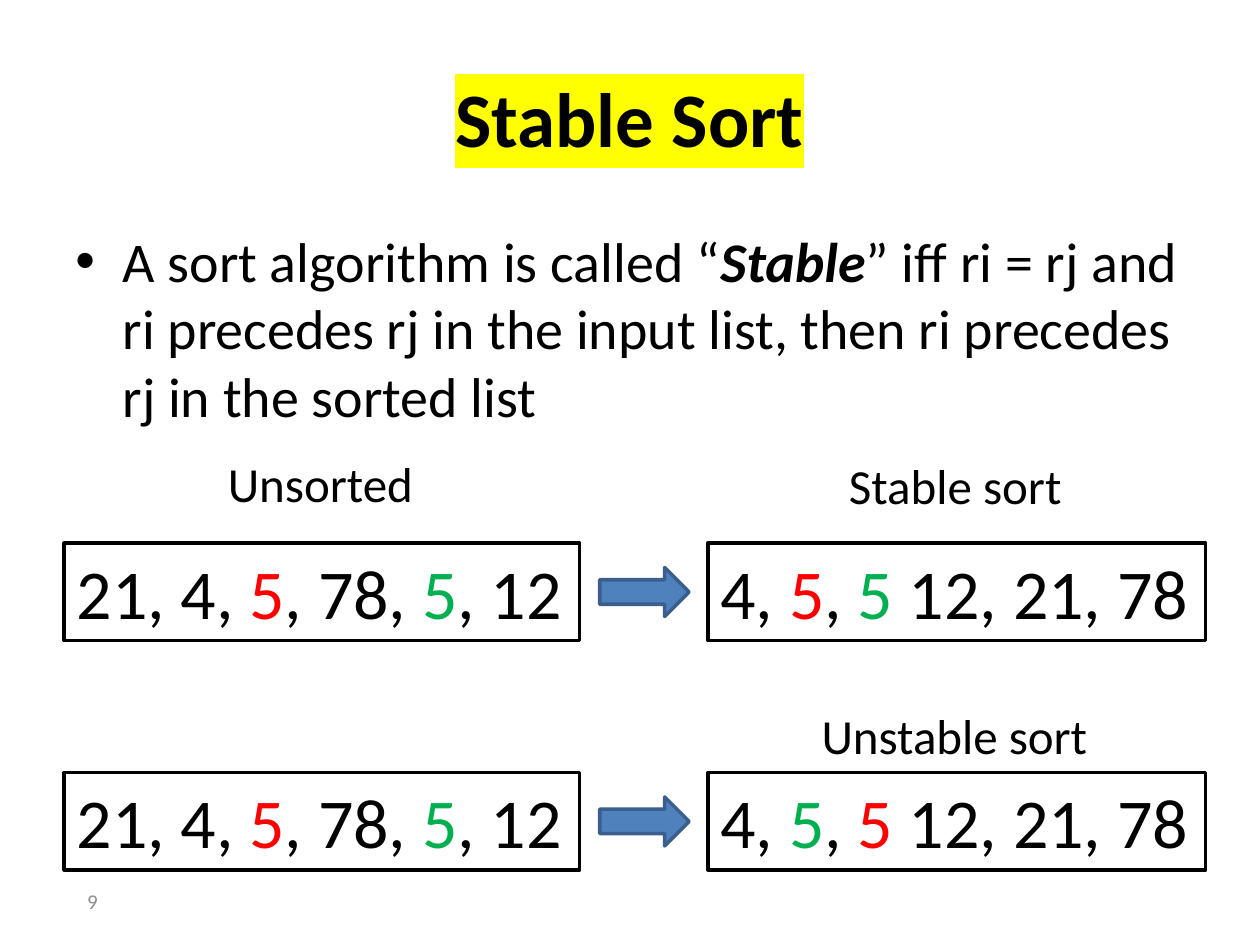
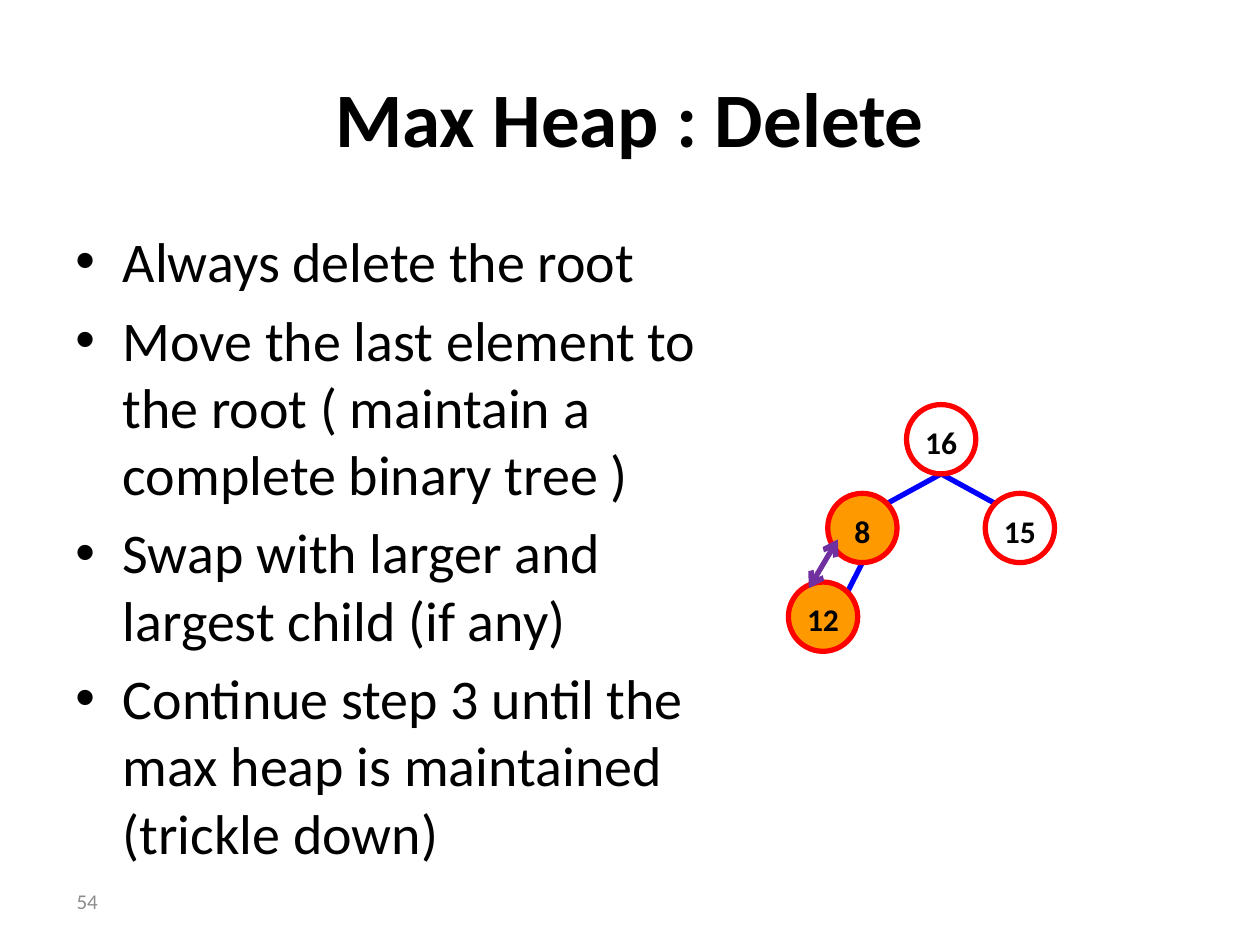
from lxml.etree import SubElement
from pptx import Presentation
from pptx.dml.color import RGBColor
from pptx.enum.shapes import MSO_CONNECTOR, MSO_SHAPE
from pptx.enum.text import MSO_ANCHOR, MSO_AUTO_SIZE, PP_ALIGN
from pptx.oxml.ns import qn
from pptx.util import Pt

BLACK = RGBColor(0x00, 0x00, 0x00)
WHITE = RGBColor(0xFF, 0xFF, 0xFF)
GRAY = RGBColor(0x8C, 0x8C, 0x8C)
RED = RGBColor(0xFF, 0x00, 0x00)
GREEN = RGBColor(0x00, 0xB0, 0x50)
ARROW_FILL = RGBColor(0x4F, 0x81, 0xBD)
ARROW_LINE = RGBColor(0x3A, 0x5F, 0x8C)
ORANGE = RGBColor(0xFF, 0x99, 0x00)
BLUE = RGBColor(0x00, 0x00, 0xFF)
PURPLE = RGBColor(0x70, 0x30, 0xA0)
FONT = "Calibri"


def add_text(s, box, paragraphs, size, color=BLACK, bold=False, align=PP_ALIGN.LEFT,
             anchor=MSO_ANCHOR.TOP, wrap=True, bullet=False):
    """Each paragraph is a list of (text, font overrides) runs."""
    sp = s.shapes.add_textbox(*map(Pt, box))
    tf = sp.text_frame
    tf.word_wrap = wrap
    tf.auto_size = MSO_AUTO_SIZE.NONE if wrap else MSO_AUTO_SIZE.SHAPE_TO_FIT_TEXT
    tf.vertical_anchor = anchor
    for i, runs in enumerate(paragraphs):
        p = tf.add_paragraph() if i else tf.paragraphs[0]
        p.alignment = align
        if bullet:
            pPr = p._p.get_or_add_pPr()
            pPr.set("marL", str(Pt(27)))
            pPr.set("indent", str(-Pt(27)))
            SubElement(pPr, qn("a:buFont"), typeface="Arial")
            SubElement(pPr, qn("a:buChar"), char="•")
            if i:
                p.space_before = Pt(6.4)
        for text, overrides in runs:
            r = p.add_run()
            r.text = text
            fmt = {"name": FONT, "size": Pt(size), "bold": bold, "color": color} | overrides
            r.font.color.rgb = fmt.pop("color")
            for name, value in fmt.items():
                setattr(r.font, name, value)
    return sp


def add_line(s, start, end, color):
    c = s.shapes.add_connector(MSO_CONNECTOR.STRAIGHT, *map(Pt, start + end))
    c.line.color.rgb = color
    c.line.width = Pt(3)
    SubElement(c._element.spPr, qn("a:effectLst"))
    return c


prs = Presentation()
prs.slide_width, prs.slide_height = Pt(720), Pt(540)

# Title, bullets and page number of each slide
pages = [
    ("Stable Sort", "9", 648, [
        [("A sort algorithm is called “", {}),
         ("Stable", {"bold": True, "italic": True}),
         ("” iff ri = rj and ri precedes rj in the input list, "
          "then ri precedes rj in the sorted list", {})],
    ]),
    ("Max Heap : Delete", "54", 397.5, [
        [("Always delete the root", {})],
        [("Move the last element to the root ( maintain a complete binary tree )", {})],
        [("Swap with larger and largest child (if any)", {})],
        [("Continue step 3 until the max heap is maintained (trickle down)", {})],
    ]),
]
slides, titles = [], []
for title, number, body_width, bullets in pages:
    s = prs.slides.add_slide(prs.slide_layouts[6])
    slides.append(s)
    titles.append(add_text(s, (36, 21.6, 648, 90), [[(title, {})]], 44, bold=True,
                           align=PP_ALIGN.CENTER, anchor=MSO_ANCHOR.MIDDLE))
    add_text(s, (36, 126, body_width, 356.4), bullets, 32, bullet=True)
    add_text(s, (0, 500.5, 63, 28.8), [[(number, {})]], 12, GRAY,
             align=PP_ALIGN.RIGHT, anchor=MSO_ANCHOR.MIDDLE)

# Yellow marker behind the first title
rPr = titles[0].text_frame.paragraphs[0].runs[0].font._element
highlight = SubElement(rPr, qn("a:highlight"))
SubElement(highlight, qn("a:srgbClr"), val="FFFF00")
rPr.find(qn("a:solidFill")).addnext(highlight)

# Slide 1: one row for the stable sort, one for the unstable sort
s = slides[0]
for top, first, second in [(310.3, RED, GREEN), (441.4, GREEN, RED)]:
    unsorted_runs = [("21, 4, ", {}), ("5", {"color": RED}), (", 78, ", {}),
                     ("5", {"color": GREEN}), (", 12", {})]
    sorted_runs = [("4, ", {}), ("5", {"color": first}), (", ", {}),
                   ("5", {"color": second}), (" 12, 21, 78", {})]
    for left, width, runs in [(36.7, 294.5, unsorted_runs), (404.6, 284.4, sorted_runs)]:
        sp = add_text(s, (left, top, width, 55.7), [runs], 40, wrap=False)
        sp.fill.solid()
        sp.fill.fore_color.rgb = WHITE
        sp.line.color.rgb = BLACK
        sp.line.width = Pt(2)
    arrow = s.shapes.add_shape(MSO_SHAPE.RIGHT_ARROW, Pt(342.7), Pt(top + 14), Pt(51.1), Pt(28))
    arrow.shadow.inherit = False
    arrow.fill.solid()
    arrow.fill.fore_color.rgb = ARROW_FILL
    arrow.line.color.rgb = ARROW_LINE
    arrow.line.width = Pt(2)

for label, left, top, width in [("Unsorted", 123.1, 255.6, 121.7),
                                ("Stable sort", 478, 257, 137.5),
                                ("Unstable sort", 462.4, 399.6, 168.5)]:
    add_text(s, (left, top, width, 41), [[(label, {})]], 28, wrap=False)

# Slide 2: heap nodes by centre, with their parent
s = slides[1]
RADIUS, STEP_X, STEP_Y = 19.8, 45, 50.7
DIAGONAL = 0.7 * RADIUS
root_x, root_y = 537.8, 251
nodes = {  # value: (x, y, parent, fill)
    "16": (root_x, root_y, None, None),
    "8": (root_x - STEP_X, root_y + STEP_Y, "16", ORANGE),
    "15": (root_x + STEP_X, root_y + STEP_Y, "16", None),
    "12": (root_x - 1.5 * STEP_X, root_y + 2 * STEP_Y, "8", ORANGE),
}
for x, y, parent, _ in nodes.values():
    if parent:
        parent_x, parent_y = nodes[parent][:2]
        side = 1 if x < parent_x else -1
        add_line(s, (x + side * DIAGONAL, y - DIAGONAL), (parent_x, parent_y + RADIUS), BLUE)

for value, (x, y, _, fill) in nodes.items():
    sp = s.shapes.add_shape(MSO_SHAPE.OVAL, Pt(x - RADIUS), Pt(y - RADIUS),
                            Pt(2 * RADIUS), Pt(2 * RADIUS))
    sp.shadow.inherit = False
    if fill:
        sp.fill.solid()
        sp.fill.fore_color.rgb = fill
    else:
        sp.fill.background()
    sp.line.color.rgb = RED
    sp.line.width = Pt(3)
    tf = sp.text_frame
    tf.word_wrap = False
    tf.vertical_anchor = MSO_ANCHOR.MIDDLE
    tf.margin_left = tf.margin_right = tf.margin_bottom = 0
    tf.margin_top = Pt(3)
    p = tf.paragraphs[0]
    p.alignment = PP_ALIGN.CENTER
    r = p.add_run()
    r.text = value
    r.font.color.rgb = BLACK
    for name, setting in {"name": FONT, "size": Pt(18), "bold": True}.items():
        setattr(r.font, name, setting)

# Swap arrow between 8 and 12
swap = add_line(s, (462.2, 336.2), (478.8, 308.2), PURPLE)
ln = swap.line._get_or_add_ln()
for end in ("a:headEnd", "a:tailEnd"):
    SubElement(ln, qn(end), type="arrow")

prs.save("out.pptx")
